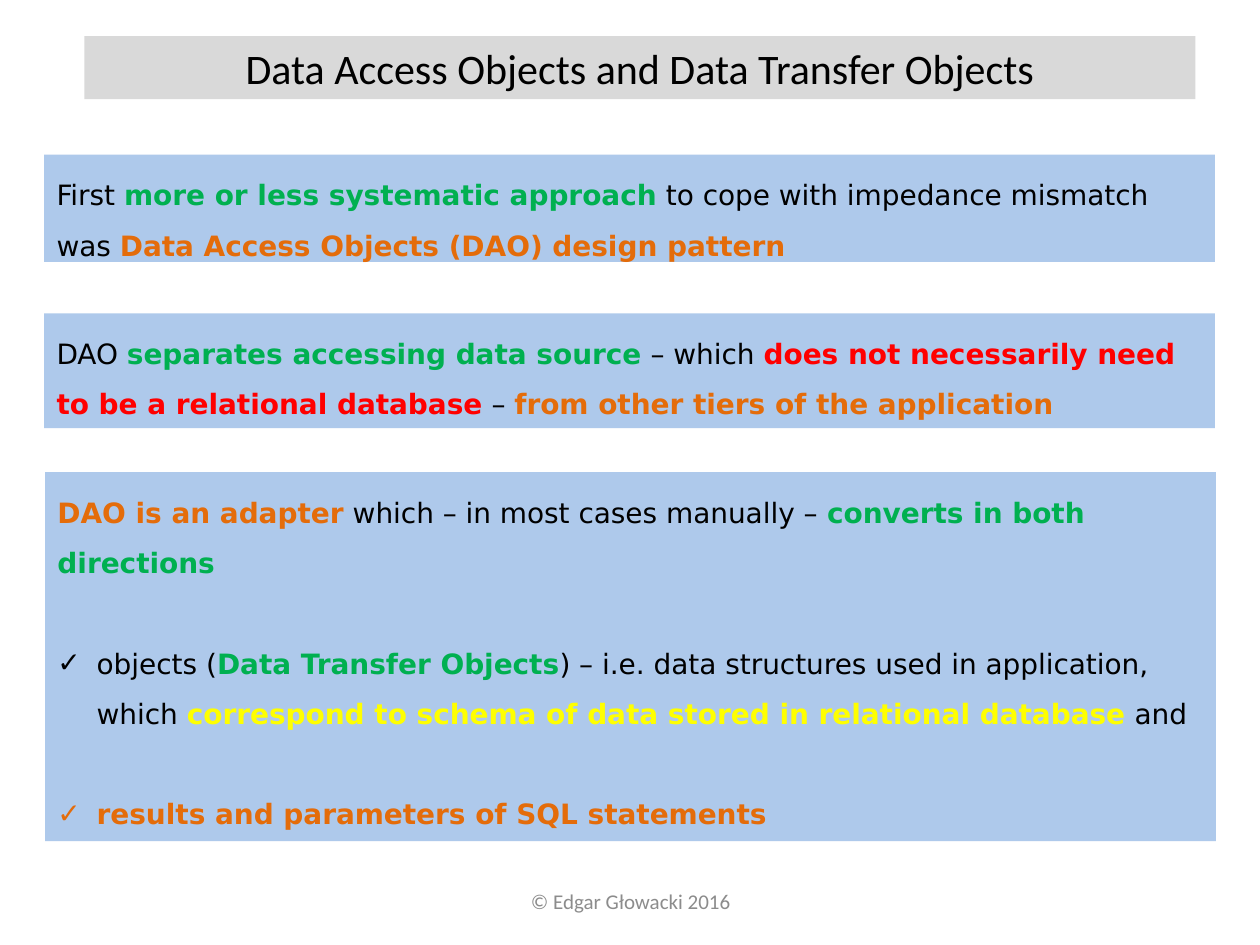
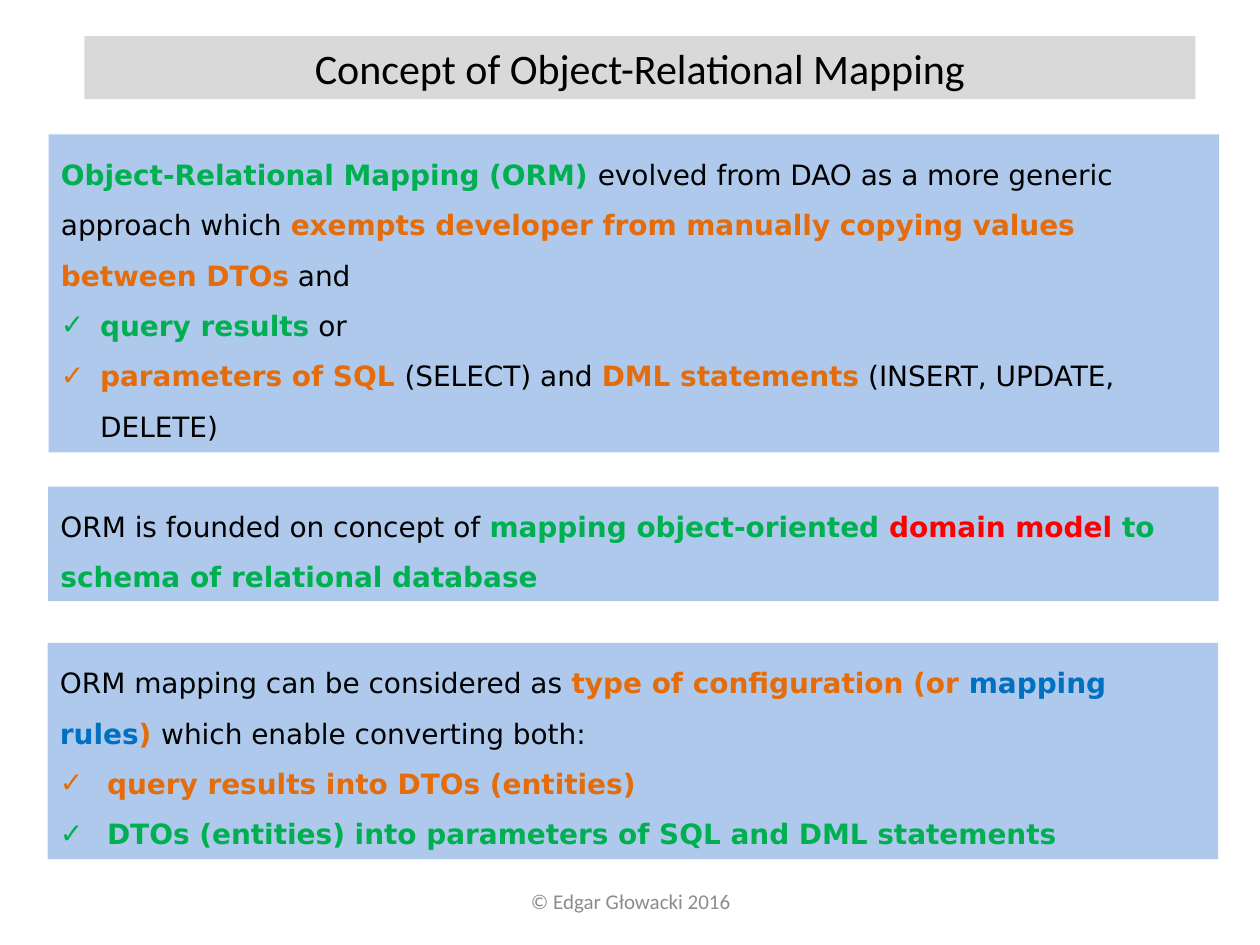
"""Build two slides on data access objects and object-relational mapping."""
from lxml import etree
from pptx import Presentation
from pptx import util as u
from pptx.dml.color import RGBColor
from pptx.enum import shapes, text
from pptx.oxml.ns import qn

BLACK, GREEN, ORANGE = "000000", "00B050", "E46C0A"
RED, YELLOW, BLUE = "FF0000", "FFFF00", "0070C0"
TITLE_FILL, PANEL_FILL, FOOTER_GREY = "D9D9D9", "8EB4E3", "8C8C8C"
PANEL_OPACITY = 71
TITLE_FONT, BODY_FONT = "Calibri", "DejaVu Sans"
TITLE_AREA = (1.7, 0.73, 22.4, 1.27)
FOOTER_AREA = (8.69, 17.65, 8.05, 1.02)
PANEL_WIDTH = 23.6
FOOTER = "© Edgar Głowacki 2016"

SLIDES = [
    {
        "title": "Data Access Objects and Data Transfer Objects",
        "panels": [
            {"left": 0.89, "top": 3.12, "height": 2.16, "intro": [
                ("First ", BLACK),
                ("more or less systematic approach", GREEN),
                (" to cope with impedance mismatch was ", BLACK),
                ("Data Access Objects (DAO) design pattern", ORANGE)]},
            {"left": 0.89, "top": 6.32, "height": 2.31, "intro": [
                ("DAO ", BLACK),
                ("separates accessing data source", GREEN),
                (" – which ", BLACK),
                ("does not necessarily need to be a relational database", RED),
                (" – ", BLACK),
                ("from other tiers of the application", ORANGE)]},
            {"left": 0.91, "top": 9.52, "height": 7.44, "gap": 28.7, "intro": [
                ("DAO is an adapter", ORANGE),
                (" which – in most cases manually – ", BLACK),
                ("converts in both directions", GREEN)],
             "bullets": [
                [("objects (", BLACK),
                 ("Data Transfer Objects", GREEN),
                 (") – i.e. data structures used in application, which ", BLACK),
                 ("correspond to schema of data stored in relational database", YELLOW),
                 (" and", BLACK)],
                [("results and parameters of SQL statements", ORANGE)]]},
        ],
    },
    {
        "title": "Concept of Object-Relational Mapping",
        "panels": [
            {"left": 0.98, "top": 2.71, "height": 6.41, "intro": [
                ("Object-Relational Mapping (ORM) ", GREEN),
                ("evolved from DAO as a more generic approach which ", BLACK),
                ("exempts developer from manually copying values between DTOs", ORANGE),
                (" and", BLACK)],
             "bullets": [
                [("query results", GREEN), (" or", BLACK)],
                [("parameters of SQL ", ORANGE),
                 ("(SELECT) and ", BLACK),
                 ("DML statements", ORANGE),
                 (" (INSERT, UPDATE, DELETE)", BLACK)]]},
            {"left": 0.97, "top": 9.81, "height": 2.31, "intro": [
                ("ORM is founded on concept of ", BLACK),
                ("mapping object-oriented ", GREEN),
                ("domain model", RED),
                (" to schema of relational database", GREEN)]},
            {"left": 0.96, "top": 12.96, "height": 4.36, "indent": 0.95, "intro": [
                ("ORM mapping can be considered as ", BLACK),
                ("type of configuration (or ", ORANGE),
                ("mapping rules", BLUE),
                (") ", ORANGE),
                ("which enable converting both:", BLACK)],
             "bullets": [
                [("query results into DTOs (entities)", ORANGE)],
                [("DTOs (entities) into parameters of SQL and DML statements", GREEN)]]},
        ],
    },
]


def paint(color, value):
    color.rgb = RGBColor.from_string(value)


def add_span(para, words, color, size, font, bold=False):
    span = para.add_run()
    span.text = words
    span.font.size = u.Pt(size)
    span.font.name = font
    span.font.bold = bold
    paint(span.font.color, color)


def add_box(page, area, fill):
    box = page.shapes.add_shape(shapes.MSO_SHAPE.RECTANGLE, *map(u.Cm, area))
    box.shadow.inherit = False
    box.line.fill.background()
    box.fill.solid()
    paint(box.fill.fore_color, fill)
    frame = box.text_frame
    frame.word_wrap = True
    frame.vertical_anchor = text.MSO_ANCHOR.TOP
    frame.auto_size = text.MSO_AUTO_SIZE.SHAPE_TO_FIT_TEXT
    return box


def make_translucent(box, percent):
    color = box.fill._xPr.find(qn("a:solidFill"))[0]
    etree.SubElement(color, qn("a:alpha"), val=str(percent * 1000))


def add_check(para, indent):
    props = para._p.get_or_add_pPr()
    props.set("marL", str(u.Cm(indent)))
    props.set("indent", str(-u.Cm(indent)))
    etree.SubElement(props, qn("a:buFont"), typeface=BODY_FONT)
    etree.SubElement(props, qn("a:buChar"), char="✓")


def add_panel(page, panel):
    area = (panel["left"], panel["top"], PANEL_WIDTH, panel["height"])
    box = add_box(page, area, PANEL_FILL)
    make_translucent(box, PANEL_OPACITY)
    frame = box.text_frame
    for index, spans in enumerate([panel["intro"], *panel.get("bullets", [])]):
        para = frame.add_paragraph() if index else frame.paragraphs[0]
        para.alignment = text.PP_ALIGN.LEFT
        para.line_spacing = 1.5
        if index:
            para.space_before = u.Pt(panel.get("gap", 0))
            add_check(para, panel.get("indent", 0.79))
        for words, color in spans:
            add_span(para, words, color, 16, BODY_FONT, color != BLACK)


def add_title(page, title):
    para = add_box(page, TITLE_AREA, TITLE_FILL).text_frame.paragraphs[0]
    para.alignment = text.PP_ALIGN.CENTER
    add_span(para, title, BLACK, 24, TITLE_FONT)


def add_footer(page):
    frame = page.shapes.add_textbox(*map(u.Cm, FOOTER_AREA)).text_frame
    frame.word_wrap = True
    frame.vertical_anchor = text.MSO_ANCHOR.MIDDLE
    para = frame.paragraphs[0]
    para.alignment = text.PP_ALIGN.CENTER
    add_span(para, FOOTER, FOOTER_GREY, 12, TITLE_FONT)


def main():
    deck = Presentation()
    deck.slide_width, deck.slide_height = u.Cm(25.4), u.Cm(19.05)
    for content in SLIDES:
        page = deck.slides.add_slide(deck.slide_layouts[6])
        add_footer(page)
        add_title(page, content["title"])
        for panel in content["panels"]:
            add_panel(page, panel)
    deck.save("out.pptx")


if __name__ == "__main__":
    main()
